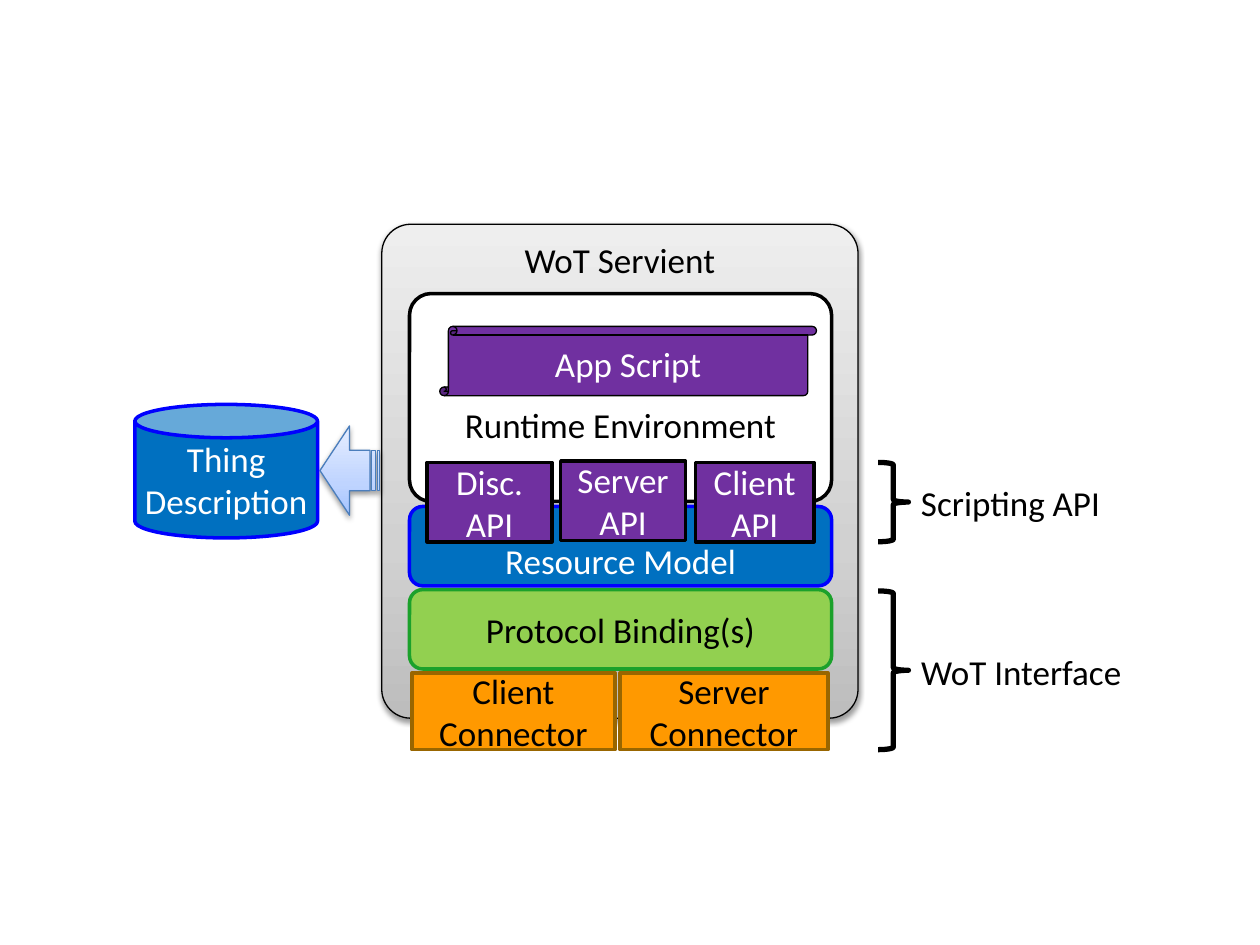
"""Build the WoT Servient architecture slide."""
from dataclasses import dataclass
from typing import Optional

from pptx import Presentation
from pptx.dml.color import RGBColor
from pptx.enum.shapes import MSO_SHAPE as Shape
from pptx.enum.text import MSO_ANCHOR as Anchor, MSO_AUTO_SIZE as AutoSize, PP_ALIGN as Align
from pptx.oxml import parse_xml
from pptx.oxml.ns import nsdecls
from pptx.util import Inches, Pt

BLACK = RGBColor(0x00, 0x00, 0x00)
WHITE = RGBColor(0xFF, 0xFF, 0xFF)
ORANGE = RGBColor(0xFF, 0x99, 0x00)
BROWN = RGBColor(0x99, 0x66, 0x00)
LIME = RGBColor(0x92, 0xD0, 0x50)
GREEN = RGBColor(0x1B, 0xA1, 0x2B)
BLUE = RGBColor(0x00, 0x70, 0xC0)
BRIGHT_BLUE = RGBColor(0x00, 0x00, 0xFF)
STEEL = RGBColor(0x4B, 0x7E, 0xBC)
PURPLE = RGBColor(0x70, 0x30, 0xA0)
GREYS = (RGBColor(0xBD, 0xBD, 0xBD), RGBColor(0xD1, 0xD1, 0xD1), RGBColor(0xEE, 0xEE, 0xEE))
PALE_BLUES = (RGBColor(0xA4, 0xC4, 0xFF), RGBColor(0xBF, 0xD4, 0xFF), RGBColor(0xE6, 0xEE, 0xFF))


@dataclass
class Block:
    """One filled shape; in its text \\n starts a paragraph and \\v a line."""
    at: tuple[float, float, float, float]
    text: str = ""
    fill: Optional[RGBColor] = None
    line: RGBColor = BLACK
    weight: float = 2
    color: RGBColor = BLACK
    kind: Shape = Shape.ROUNDED_RECTANGLE
    adj: tuple[float, ...] = ()
    anchor: Anchor = Anchor.MIDDLE
    bottom: float = 0.05
    wrap: bool = True
    gradient: tuple[RGBColor, ...] = ()
    flip: bool = False


def write_text(tf, text: str, color: RGBColor) -> None:
    """Write centred text run by run."""
    for i, para in enumerate(text.split("\n")):
        p = tf.add_paragraph() if i else tf.paragraphs[0]
        p.alignment = Align.CENTER
        for j, words in enumerate(para.split("\v")):
            if j:
                p.add_line_break()
            r = p.add_run()
            r.text = words
            r.font.name = "Calibri"
            r.font.size = Pt(20)
            r.font.color.rgb = color


def add_gradient(sp, colors: tuple[RGBColor, ...]) -> None:
    """Fill a shape from bottom to top and give it a soft shadow."""
    stops = "".join(
        f'<a:gs pos="{pos}"><a:srgbClr val="{color}"/></a:gs>'
        for pos, color in zip((0, 35000, 100000), colors))
    sp._element.spPr.insert(2, parse_xml(
        f'<a:gradFill {nsdecls("a")} rotWithShape="1"><a:gsLst>{stops}</a:gsLst>'
        '<a:lin ang="16200000" scaled="0"/></a:gradFill>'))
    effects = sp._element.spPr.find("{*}effectLst")
    effects.append(parse_xml(
        f'<a:outerShdw {nsdecls("a")} blurRad="40000" dist="20000" dir="5400000" rotWithShape="0">'
        '<a:srgbClr val="000000"><a:alpha val="38000"/></a:srgbClr></a:outerShdw>'))


def add_block(s, b: Block) -> None:
    """Draw one block with its text."""
    sp = s.shapes.add_shape(b.kind, *map(Inches, b.at))
    for i, value in enumerate(b.adj):
        sp.adjustments[i] = value
    sp.shadow.inherit = False
    if b.gradient:
        add_gradient(sp, b.gradient)
    elif b.fill is not None:
        sp.fill.solid()
        sp.fill.fore_color.rgb = b.fill
    else:
        sp.fill.background()
    sp.line.color.rgb = b.line
    sp.line.width = Pt(b.weight)
    if b.flip:
        sp._element.spPr.xfrm.set("flipH", "1")
    if b.text:
        tf = sp.text_frame
        tf.word_wrap = b.wrap
        tf.vertical_anchor = b.anchor
        tf.margin_bottom = Inches(b.bottom)
        write_text(tf, b.text, b.color)


def add_label(s, text: str, top: float, width: float) -> None:
    """Write the label beside a brace."""
    tf = s.shapes.add_textbox(Inches(7.2), Inches(top), Inches(width), Inches(0.44)).text_frame
    tf.word_wrap = False
    tf.auto_size = AutoSize.SHAPE_TO_FIT_TEXT
    write_text(tf, text, BLACK)


def connector(text: str, left: float, width: float) -> Block:
    """Describe a protocol connector."""
    return Block((left, 5.34, width, 0.61), text, ORANGE, BROWN, adj=(0,))


def api(text: str, left: float, top: float, width: float) -> Block:
    """Describe a scripting API."""
    return Block((left, top, width, 0.63), text, PURPLE, color=WHITE, adj=(0,))


def brace(top: float, height: float) -> Block:
    """Describe a right brace."""
    return Block((6.97, top, 0.24, height), weight=3, kind=Shape.RIGHT_BRACE)


BLOCKS = [
    Block((3.03, 1.78, 3.78, 3.92), "WoT Servient", weight=0.75, adj=(0.061,),
          anchor=Anchor.TOP, wrap=False, gradient=GREYS),
    connector("Server\vConnector", 4.92, 1.65),
    Block((3.25, 4.68, 3.35, 0.63), "Protocol Binding(s)", LIME, GREEN),
    Block((3.25, 4.02, 3.35, 0.63), "Resource Model", BLUE, BRIGHT_BLUE, color=WHITE,
          anchor=Anchor.BOTTOM, bottom=0),
    connector("Client\vConnector", 3.27, 1.61),
    Block((3.25, 2.33, 3.35, 1.65), "Runtime Environment", WHITE, adj=(0.104,),
          anchor=Anchor.BOTTOM, bottom=0.39),
    Block((3.49, 2.59, 2.99, 0.55), "App Script", PURPLE, weight=0.75, color=WHITE,
          kind=Shape.VERTICAL_SCROLL, wrap=False),
    api("Server\vAPI", 4.45, 3.66, 0.99),
    api("Client\vAPI", 5.52, 3.67, 0.94),
    api("Disc.\vAPI", 3.39, 3.67, 0.99),
    brace(3.67, 0.63),
    brace(4.69, 1.26),
    Block((2.54, 3.38, 0.47, 0.71), line=STEEL, weight=0.75, kind=Shape.STRIPED_RIGHT_ARROW,
          adj=(0.453, 0.5), gradient=PALE_BLUES, flip=True),
    Block((1.07, 3.21, 1.45, 1.06), "Thing\nDescription", BLUE, BRIGHT_BLUE, color=WHITE,
          kind=Shape.CAN, wrap=False),
]


def main() -> None:
    """Build and save the slide."""
    prs = Presentation()
    prs.slide_width, prs.slide_height = Inches(10), Inches(7.5)
    s = prs.slides.add_slide(prs.slide_layouts[6])
    for block in BLOCKS:
        add_block(s, block)
    add_label(s, "Scripting API", 3.77, 1.64)
    add_label(s, "WoT Interface", 5.11, 1.81)
    prs.save("out.pptx")


if __name__ == "__main__":
    main()
